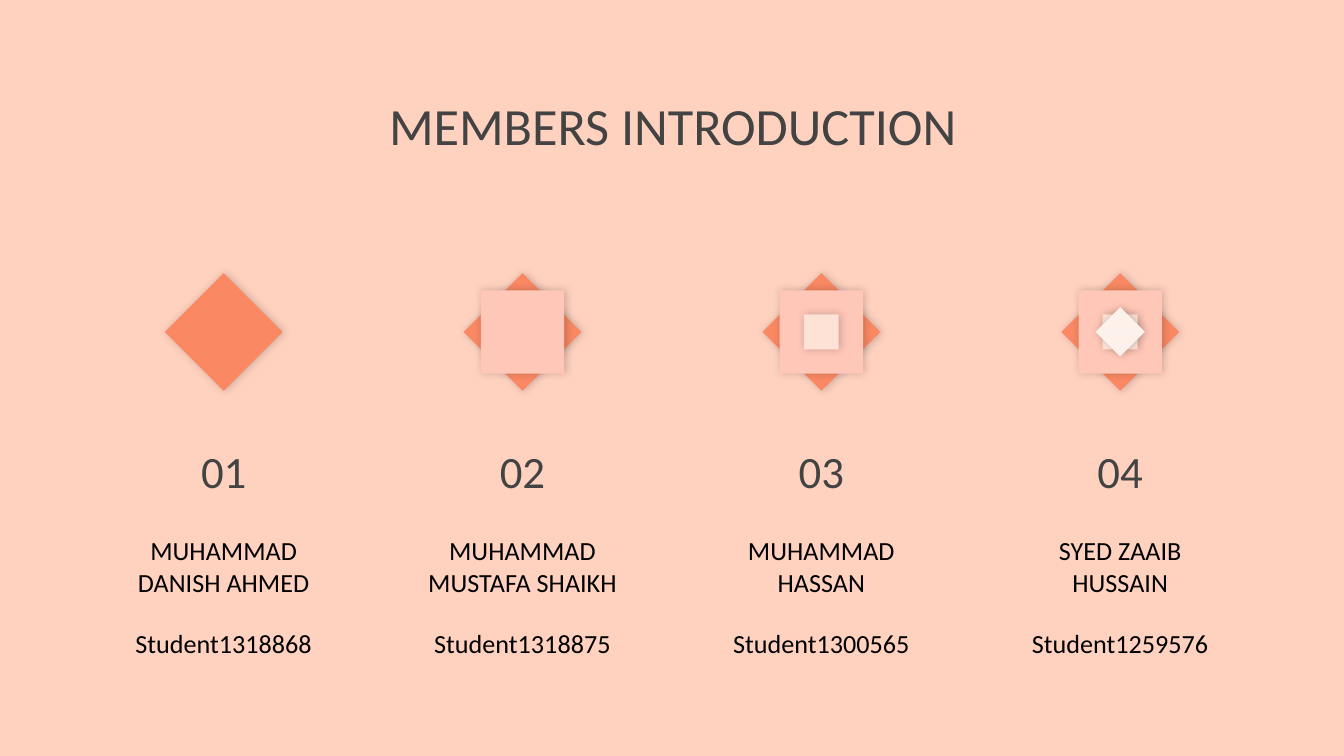
from lxml import etree
from pptx import Presentation
from pptx.dml.color import RGBColor
from pptx.enum.shapes import MSO_SHAPE
from pptx.enum.text import MSO_ANCHOR, PP_ALIGN
from pptx.oxml.ns import qn
from pptx.util import Inches, Pt

RECT = MSO_SHAPE.RECTANGLE
CENTER = PP_ALIGN.CENTER
TOP, MIDDLE = MSO_ANCHOR.TOP, MSO_ANCHOR.MIDDLE

TITLE = "MEMBERS INTRODUCTION"
MEMBERS = [
    ("MUHAMMAD DANISH AHMED", "Student1318868"),
    ("MUHAMMAD MUSTAFA SHAIKH", "Student1318875"),
    ("MUHAMMAD HASSAN", "Student1300565"),
    ("SYED ZAAIB HUSSAIN", "Student1259576"),
]
LAYERS = [
    (0.62, 315, "F98863"),
    (0.62, 0, "FFC7B7"),
    (0.26, 0, "FFE2D6"),
    (0.26, 45, "FDF1EC"),
]
GRAY, BLACK, PEACH = "434343", "000000", "FFD2C0"
LEFT, LAST, WIDTH = 0.83, 7.5, 1.67
STEP = (LAST - LEFT) / (len(MEMBERS) - 1)
ICON_Y = 2.47


def color(code):
    return RGBColor.from_string(code)


def add_text(slide, box, lines, size, ink, inset=0.1, anchor=TOP, after=0):
    frame = slide.shapes.add_textbox(*map(Inches, box)).text_frame
    style = {"word_wrap": True, "vertical_anchor": anchor}
    for side in ("left", "right", "top", "bottom"):
        style["margin_" + side] = Inches(inset)
    for key, value in style.items():
        setattr(frame, key, value)
    frame.text = "\n".join(lines)
    for para in frame.paragraphs:
        para.alignment = CENTER
        para.space_after = Pt(after)
        for key, value in {"name": "Calibri", "size": Pt(size)}.items():
            setattr(para.font, key, value)
        para.font.color.rgb = color(ink)


def add_shadow(shape):
    shape.shadow.inherit = False
    effects = shape._element.spPr.find(qn("a:effectLst"))
    outer = etree.SubElement(
        effects, qn("a:outerShdw"), blurRad=str(Pt(4.5)),
        dist=str(Pt(0.8)), dir="0", algn="bl", rotWithShape="0")
    tint = etree.SubElement(outer, qn("a:srgbClr"), val=BLACK)
    etree.SubElement(tint, qn("a:alpha"), val="20000")


def add_icon(slide, mid, count):
    shapes = slide.shapes
    if count > 1:
        shapes = shapes.add_group_shape().shapes
    for size, turn, fill in LAYERS[:count]:
        box = (mid - size / 2, ICON_Y - size / 2, size, size)
        shape = shapes.add_shape(RECT, *map(Inches, box))
        shape.rotation = turn
        shape.fill.solid()
        shape.fill.fore_color.rgb = color(fill)
        shape.line.fill.background()
        add_shadow(shape)


def main():
    deck = Presentation()
    deck.slide_width = Inches(10)
    deck.slide_height = deck.slide_width * 9 // 16
    slide = deck.slides.add_slide(deck.slide_layouts[6])
    slide.background.fill.solid()
    slide.background.fill.fore_color.rgb = color(PEACH)

    add_text(slide, (0.79, 0.59, 8.43, 0.52), [TITLE], 28, GRAY)
    for i, member in enumerate(MEMBERS):
        x = LEFT + i * STEP
        add_text(slide, (x, 3.28, WIDTH, 0.44), [f"{i + 1:02}"], 24, GRAY,
                 inset=0, anchor=MIDDLE)
        add_text(slide, (x, 3.88, WIDTH, 0.63), member, 14, BLACK, after=16)
    for i in range(len(MEMBERS)):
        add_icon(slide, LEFT + i * STEP + WIDTH / 2, i + 1)
    deck.save("out.pptx")


if __name__ == "__main__":
    main()
